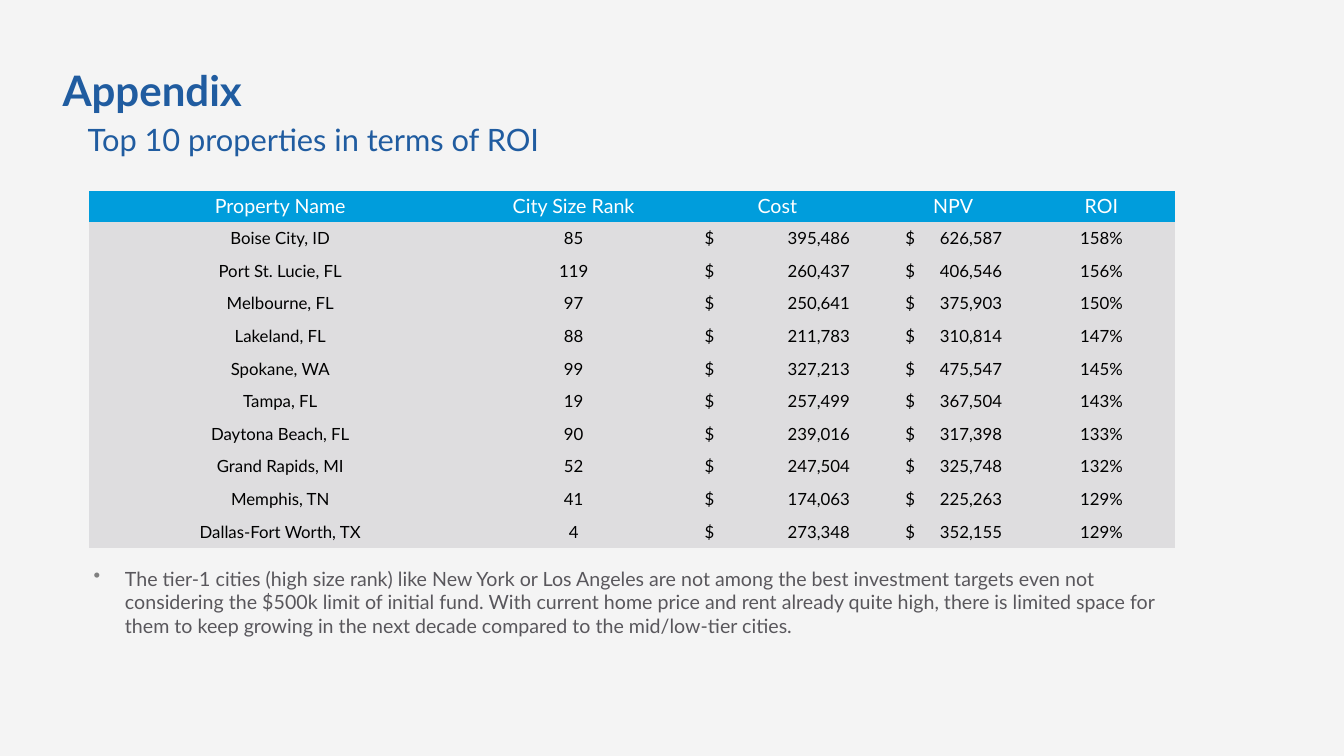
from lxml.etree import SubElement
from pptx import Presentation
from pptx.dml.color import RGBColor
from pptx.enum.text import MSO_ANCHOR, PP_ALIGN
from pptx.oxml.ns import qn
from pptx.util import Inches, Pt

TITLE = "Appendix"
SUBTITLE = "Top 10 properties in terms of ROI"
HEADERS = ["Property Name", "City Size Rank", "Cost", "NPV", "ROI"]
PROPERTIES = [
    ("Boise City, ID", 85, 395486, 626587, 158),
    ("Port St. Lucie, FL", 119, 260437, 406546, 156),
    ("Melbourne, FL", 97, 250641, 375903, 150),
    ("Lakeland, FL", 88, 211783, 310814, 147),
    ("Spokane, WA", 99, 327213, 475547, 145),
    ("Tampa, FL", 19, 257499, 367504, 143),
    ("Daytona Beach, FL", 90, 239016, 317398, 133),
    ("Grand Rapids, MI", 52, 247504, 325748, 132),
    ("Memphis, TN", 41, 174063, 225263, 129),
    ("Dallas-Fort Worth, TX", 4, 273348, 352155, 129),
]
COMMENT = (
    "The tier-1 cities (high size rank) like New York or Los Angeles are not among the best "
    "investment targets even not considering the $500k limit of initial fund. With current home "
    "price and rent already quite high, there is limited space for them to keep growing in the "
    "next decade compared to the mid/low-tier cities."
)

THEME = {
    "font": "Lato",
    "background": "F4F4F4", "heading": "205CA0", "header_fill": "009DDC",
    "header_text": "FFFFFF", "row_fill": "DEDDDF", "row_text": "000000",
    "comment": "59575C", "bullet": "7F7F7F",
    "title_size": 30, "subtitle_size": 22, "body_size": 14, "row_size": 12,
}
NO_STYLE = "{2D5ABB26-0587-4C30-8999-92F81FD0307C}"
COL_WIDTHS = [3.8, 2.02, 2.02, 1.47, 1.47]
TABLE_LEFT, TABLE_TOP, TABLE_HEIGHT, HEADER_HEIGHT = 0.88, 1.89, 3.55, 0.31
MONEY_COLUMNS = {2: (0.29, 1.44), 3: (0.26, 0.96)}


def color(name):
    return RGBColor.from_string(THEME[name])


def write(tf, text, size="body_size", ink="row_text", bold=False, align=PP_ALIGN.LEFT,
          spacing=None, bullet=None, indent=0, tab=None):
    tf.word_wrap = True
    p = tf.paragraphs[0]
    p.alignment = align
    if spacing:
        p.line_spacing = spacing
    pPr = p._p.get_or_add_pPr()
    if bullet:
        pPr.set("marL", str(Inches(indent)))
        pPr.set("indent", str(-Inches(indent)))
        bu_color = SubElement(pPr, qn("a:buClr"))
        SubElement(bu_color, qn("a:srgbClr"), val=THEME["bullet"])
        SubElement(pPr, qn("a:buChar"), char=bullet)
    if tab:
        tabs = SubElement(pPr, qn("a:tabLst"))
        SubElement(tabs, qn("a:tab"), pos=str(Inches(tab)), algn="r")
    r = p.add_run()
    r.text = text
    r.font.name = THEME["font"]
    r.font.size = Pt(THEME[size])
    r.font.bold = bold
    r.font.color.rgb = color(ink)


def add_text(s, box, text, anchor=MSO_ANCHOR.TOP, **style):
    tf = s.shapes.add_textbox(*map(Inches, box)).text_frame
    tf.margin_left = tf.margin_right = tf.margin_top = tf.margin_bottom = 0
    tf.vertical_anchor = anchor
    write(tf, text, **style)


def fill_cell(cell, text, fill, left=0, **style):
    cell.margin_left = Inches(left)
    cell.margin_right = cell.margin_top = cell.margin_bottom = 0
    cell.vertical_anchor = MSO_ANCHOR.MIDDLE
    cell.fill.solid()
    cell.fill.fore_color.rgb = color(fill)
    write(cell.text_frame, text, **style)


def add_property_table(s):
    frame = s.shapes.add_table(
        len(PROPERTIES) + 1, len(HEADERS), Inches(TABLE_LEFT), Inches(TABLE_TOP),
        Inches(sum(COL_WIDTHS)), Inches(TABLE_HEIGHT))
    table = frame.table
    table.horz_banding = False
    table._tbl.tblPr.find(qn("a:tableStyleId")).text = NO_STYLE
    for column, width in zip(table.columns, COL_WIDTHS):
        column.width = Inches(width)
    row_height = (TABLE_HEIGHT - HEADER_HEIGHT) / len(PROPERTIES)
    for i, row in enumerate(table.rows):
        row.height = Inches(row_height if i else HEADER_HEIGHT)
    for j, header in enumerate(HEADERS):
        fill_cell(table.cell(0, j), header, "header_fill",
                  ink="header_text", align=PP_ALIGN.CENTER)
    for i, (name, rank, cost, npv, roi) in enumerate(PROPERTIES, 1):
        values = [name, str(rank), f"$\t{cost:,}", f"$\t{npv:,}", f"{roi}%"]
        for j, value in enumerate(values):
            left, tab = MONEY_COLUMNS.get(j, (0, None))
            align = PP_ALIGN.LEFT if tab else PP_ALIGN.CENTER
            fill_cell(table.cell(i, j), value, "row_fill", left,
                      size="row_size", align=align, tab=tab)


def main():
    prs = Presentation()
    prs.slide_width, prs.slide_height = Inches(13.33), Inches(7.5)
    s = prs.slides.add_slide(prs.slide_layouts[6])
    s.background.fill.solid()
    s.background.fill.fore_color.rgb = color("background")
    add_text(s, (0.62, 0.07, 12.08, 1.08), TITLE, anchor=MSO_ANCHOR.BOTTOM,
             size="title_size", ink="heading", bold=True, spacing=0.95)
    add_text(s, (0.87, 1.2, 11.83, 0.37), SUBTITLE, size="subtitle_size", ink="heading")
    add_property_table(s)
    add_text(s, (0.93, 5.62, 10.57, 1.26), COMMENT, ink="comment", bullet="•", indent=0.31)
    prs.save("out.pptx")


if __name__ == "__main__":
    main()
